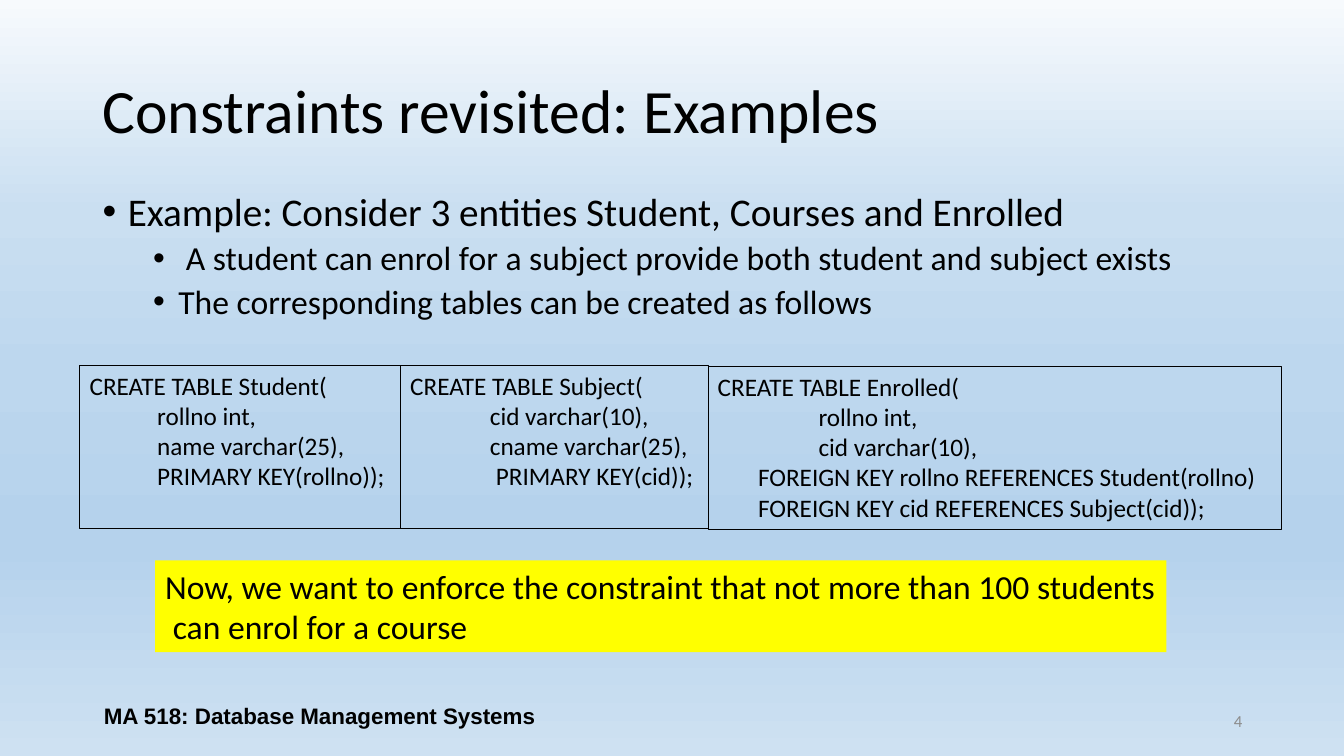
from dataclasses import dataclass

from lxml import etree
from pptx import Presentation
from pptx import util as u
from pptx.dml.color import RGBColor
from pptx.enum import text
from pptx.oxml.ns import qn

TITLE = "Constraints revisited: Examples"
BULLETS = [
    (0, "Example: Consider 3 entities Student, Courses and Enrolled"),
    (1, " A student can enrol for a subject provide both student and subject exists"),
    (1, "The corresponding tables can be created as follows"),
]
TABLES = [
    (3.18, 3.62, [
        (0, "CREATE TABLE Student("),
        (0.67, "rollno int,"),
        (0.67, "name varchar(25),"),
        (0.67, "PRIMARY KEY(rollno));"),
    ]),
    (3.05, 3.62, [
        (0, "CREATE TABLE Subject("),
        (0.79, "cid varchar(10),"),
        (0.79, "cname varchar(25),"),
        (0.85, "PRIMARY KEY(cid));"),
    ]),
    (5.69, 3.63, [
        (0, "CREATE TABLE Enrolled("),
        (1, "rollno int,"),
        (1, "cid varchar(10),"),
        (0.4, "FOREIGN KEY rollno REFERENCES Student(rollno)"),
        (0.4, "FOREIGN KEY cid REFERENCES Subject(cid));"),
    ]),
]
NOTICE = [
    "Now, we want to enforce the constraint that not more than 100 students",
    " can enrol for a course",
]
FOOTER = "MA 518: Database Management Systems"
PAGE_NUMBER = "4"


@dataclass(frozen=True)
class Theme:
    font: str = "Calibri"
    footer_font: str = "Arial"
    ink: str = "000000"
    muted: str = "8C8C8C"
    highlight: str = "FFFF00"
    backdrop: tuple = ((0, "F7FAFD"), (28, "CADFF1"), (49, "BDD7EE"),
                       (71, "B5D2EC"), (72, "B5D2EC"), (100, "CEE1F2"))
    title: int = 44
    bullets: tuple = (28, 24)
    code: int = 18
    notice: int = 24
    footer: int = 16
    number: int = 12


THEME = Theme()


def paint_backdrop(page):
    fill = page.background.fill
    fill.gradient()
    fill.gradient_angle = 270
    stops = page.element.find(".//" + qn("a:gsLst"))
    for stop in list(stops):
        stops.remove(stop)
    for percent, color in THEME.backdrop:
        stop = etree.SubElement(stops, qn("a:gs"), pos=str(percent * 1000))
        etree.SubElement(stop, qn("a:srgbClr"), val=color)


def add_text(page, place, lines, size, font=THEME.font, color=THEME.ink, bold=False,
             anchor=text.MSO_ANCHOR.TOP, align=text.PP_ALIGN.LEFT, wrap=True):
    box = page.shapes.add_textbox(*map(u.Inches, place))
    frame = box.text_frame
    frame.word_wrap = wrap
    frame.vertical_anchor = anchor
    frame.text = "\n".join(lines)
    for para in frame.paragraphs:
        para.alignment = align
        for span in para.runs:
            span.font.name = font
            span.font.size = u.Pt(size)
            span.font.bold = bold
            span.font.color.rgb = RGBColor.from_string(color)
    return box


def indent(para, left, first=0):
    props = para._p.get_or_add_pPr()
    props.set("marL", str(u.Inches(left)))
    props.set("indent", str(u.Inches(first)))
    return props


def add_bullets(page):
    box = add_text(page, (0.92, 1.86, 11.5, 1.5), [line for _, line in BULLETS], THEME.bullets[0])
    for para, (level, _) in zip(box.text_frame.paragraphs, BULLETS):
        para.level = level
        para.line_spacing = 0.9
        para.space_before = u.Pt(10 - 5 * level)
        para.runs[0].font.size = u.Pt(THEME.bullets[level])
        props = indent(para, 0.25 + 0.5 * level, -0.25)
        etree.SubElement(props, qn("a:buFont"), typeface="Arial")
        etree.SubElement(props, qn("a:buChar"), char="•")


def add_tables(page):
    left = 0.79
    for width, top, lines in TABLES:
        box = add_text(page, (left, top, width, 1.62), [line for _, line in lines], THEME.code)
        box.line.color.rgb = RGBColor.from_string(THEME.ink)
        box.line.width = u.Pt(0.25)
        for para, (offset, _) in zip(box.text_frame.paragraphs, lines):
            indent(para, offset)
        left += width


def main():
    deck = Presentation()
    deck.slide_width, deck.slide_height = u.Inches(13.33), u.Inches(7.5)
    page = deck.slides.add_slide(deck.slide_layouts[6])
    paint_backdrop(page)

    middle = text.MSO_ANCHOR.MIDDLE
    heading = add_text(page, (0.92, 0.4, 11.5, 1.45), [TITLE], THEME.title, anchor=middle)
    heading.text_frame.paragraphs[0].line_spacing = 0.9
    add_bullets(page)
    add_text(page, (9.42, 6.95, 3, 0.4), [PAGE_NUMBER], THEME.number, color=THEME.muted,
             anchor=middle, align=text.PP_ALIGN.RIGHT)
    add_text(page, (0.92, 6.9, 4.5, 0.4), [FOOTER], THEME.footer, font=THEME.footer_font,
             bold=True, anchor=middle, align=text.PP_ALIGN.CENTER)
    add_tables(page)
    notice = add_text(page, (1.54, 5.56, 10.03, 0.91), NOTICE, THEME.notice, wrap=False)
    notice.fill.solid()
    notice.fill.fore_color.rgb = RGBColor.from_string(THEME.highlight)
    deck.save("out.pptx")


if __name__ == "__main__":
    main()
